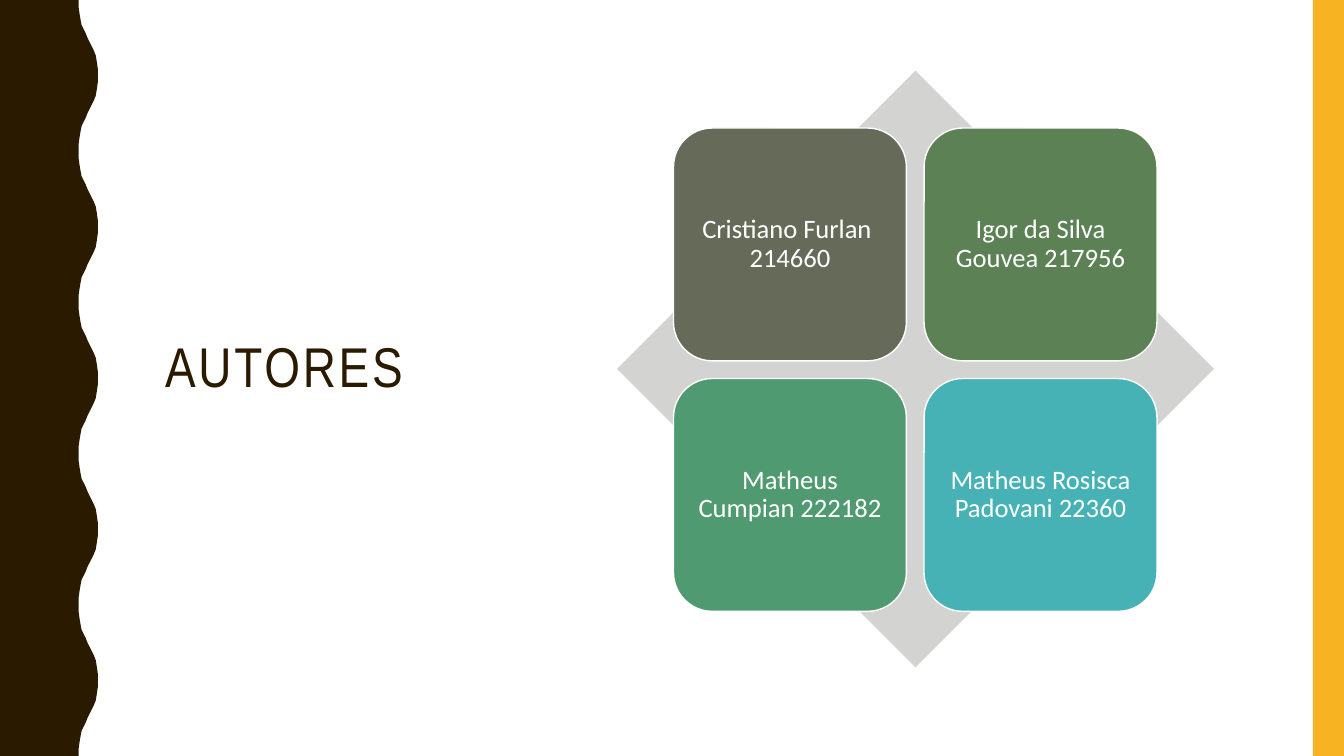
"""Build the authors slide: a title beside a diamond matrix of four names."""
import pptx
import pptx.dml.color
import pptx.enum.shapes
import pptx.enum.text
import pptx.util

Inches = pptx.util.Inches
Pt = pptx.util.Pt
SHAPE = pptx.enum.shapes.MSO_SHAPE
ALIGN = pptx.enum.text.PP_ALIGN


def paint(shape, fill, line=None):
    shape.shadow.inherit = False
    shape.fill.solid()
    shape.fill.fore_color.rgb = pptx.dml.color.RGBColor.from_string(fill)
    if line:
        shape.line.color.rgb = pptx.dml.color.RGBColor.from_string(line)
        shape.line.width = Pt(1)
    else:
        shape.line.fill.background()


def write(shape, text, font, size, color, align, inset_x, inset_y):
    frame = shape.text_frame
    frame_format = {
        "word_wrap": True,
        "vertical_anchor": pptx.enum.text.MSO_ANCHOR.MIDDLE,
        "margin_left": Inches(inset_x),
        "margin_right": Inches(inset_x),
        "margin_top": Inches(inset_y),
        "margin_bottom": Inches(inset_y),
    }
    for name, value in frame_format.items():
        setattr(frame, name, value)
    paragraph = frame.paragraphs[0]
    paragraph.alignment = align
    paragraph.line_spacing = 0.9
    run = paragraph.add_run()
    run.text = text
    for name, value in {"name": font, "size": Pt(size)}.items():
        setattr(run.font, name, value)
    run.font.color.rgb = pptx.dml.color.RGBColor.from_string(color)
    return run


deck = pptx.Presentation()
deck.slide_width = Inches(13.33)
deck.slide_height = Inches(7.5)
slide = deck.slides.add_slide(deck.slide_layouts[6])
shapes = slide.shapes

rising = [
    (0.78, 0), (0.78, 0.07), (0.79, 0.14), (0.8, 0.2), (0.81, 0.25),
    (0.83, 0.29), (0.85, 0.33), (0.87, 0.38), (0.89, 0.42), (0.91, 0.46),
    (0.93, 0.5), (0.95, 0.55), (0.96, 0.61), (0.97, 0.68), (0.97, 0.75),
]
period = 1.5
wave = rising + [(x, period - y) for x, y in reversed(rising[1:-1])]
edge = [(x, y + period * turn) for turn in range(5) for x, y in wave]
edge += [(0.78, 7.5), (0, 7.5)]
outline = shapes.build_freeform(0, 0)
outline.add_line_segments([(Inches(x), Inches(y)) for x, y in edge], close=True)
paint(outline.convert_to_shape(), "2A1A00")

right_band = shapes.add_shape(
    SHAPE.RECTANGLE, Inches(13.02), 0, Inches(0.31), Inches(7.5))
paint(right_band, "F8B323")

title = shapes.add_textbox(Inches(1.54), Inches(0.7), Inches(3.7), Inches(5.92))
title_run = write(title, "AUTORES", "Arial Narrow", 40, "2A1A00", ALIGN.LEFT, 0.1, 0.05)
title_run.font._element.set("spc", "200")

diamond = shapes.add_shape(
    SHAPE.DIAMOND, Inches(6.12), Inches(0.7), Inches(5.92), Inches(5.92))
paint(diamond, "D3D4D1")

authors = [
    ("Cristiano Furlan  214660", "656A59"),
    ("Igor da Silva Gouvea 217956", "5B8155"),
    ("Matheus Cumpian 222182", "4F9A70"),
    ("Matheus Rosisca Padovani 22360", "46B2B5"),
]
card_size = Inches(2.31)
card_step = 2.485
for index, (author, color) in enumerate(authors):
    row, column = divmod(index, 2)
    card = shapes.add_shape(
        SHAPE.ROUNDED_RECTANGLE,
        Inches(6.68 + column * card_step), Inches(1.27 + row * card_step),
        card_size, card_size)
    paint(card, color, "FFFFFF")
    write(card, author, "Calibri", 19, "FFFFFF", ALIGN.CENTER, 0.08, 0.08)

deck.save("out.pptx")
